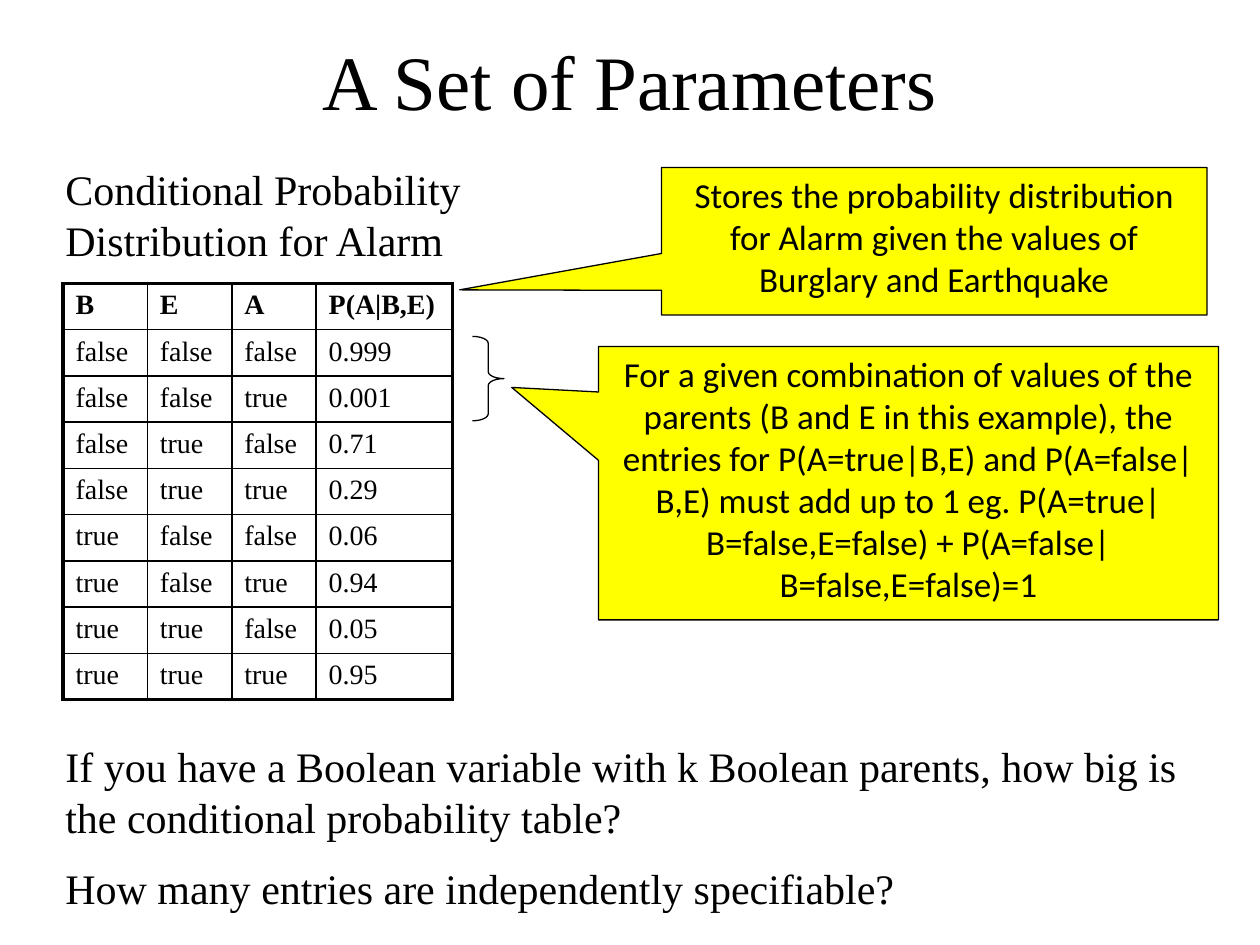
from itertools import product

from pptx import Presentation
from pptx.dml.color import RGBColor
from pptx.enum.shapes import MSO_SHAPE as Shape
from pptx.enum.text import MSO_ANCHOR as Anchor, PP_ALIGN as Align
from pptx.oxml import parse_xml
from pptx.oxml.ns import nsdecls
from pptx.util import Inches, Pt

BLACK = RGBColor(0, 0, 0)
YELLOW = RGBColor(255, 255, 0)
SERIF = "Times New Roman"


def write(frame, lines, size, font=SERIF, align=Align.LEFT, bold=False):
    frame.word_wrap = True
    for index, line in enumerate(lines):
        paragraph = frame.add_paragraph() if index else frame.paragraphs[0]
        paragraph.text = line
        paragraph.alignment = align
        if index:
            paragraph.space_before = Pt(size / 2)
        paragraph.font.name = font
        paragraph.font.size = Pt(size)
        paragraph.font.bold = bold
        paragraph.font.color.rgb = BLACK


def add_outlined(kind, box, adjustments):
    shape = slide.shapes.add_shape(kind, *map(Inches, box))
    shape.shadow.inherit = False
    shape.line.color.rgb = BLACK
    shape.line.width = Pt(0.75)
    for index, value in enumerate(adjustments):
        shape.adjustments[index] = value
    return shape


presentation = Presentation()
presentation.slide_width = Inches(10)
presentation.slide_height = Inches(7.5)
slide = presentation.slides.add_slide(presentation.slide_layouts[6])

title = slide.shapes.add_textbox(Inches(0.75), Inches(0.17), Inches(8.5), Inches(0.92))
title.text_frame.vertical_anchor = Anchor.MIDDLE
write(title.text_frame, ["A Set of Parameters"], 44, align=Align.CENTER)

probabilities = ["0.999", "0.001", "0.71", "0.29", "0.06", "0.94", "0.05", "0.95"]
rows = [("B", "E", "A", "P(A|B,E)")]
for values, probability in zip(product(["false", "true"], repeat=3), probabilities):
    rows.append((*values, probability))
widths = [0.67, 0.67, 0.67, 1.08]
last_row, last_column = len(rows) - 1, len(widths) - 1

table = slide.shapes.add_table(
    len(rows), len(widths), Inches(0.5), Inches(2.25), Inches(3.09), Inches(3.3)
).table
table.horz_banding = False
for column, width in zip(table.columns, widths):
    column.width = Inches(width)
for r, row in enumerate(rows):
    for c, value in enumerate(row):
        cell = table.cell(r, c)
        write(cell.text_frame, [value], 16, bold=r == 0)
        properties = cell._tc.get_or_add_tcPr()
        outer_edges = {"L": c == 0, "R": c == last_column, "T": r == 0, "B": r == last_row}
        for side, is_outer in outer_edges.items():
            properties.append(parse_xml(
                f'<a:ln{side} {nsdecls("a")} w="{Pt(2.25 if is_outer else 1)}">'
                f'<a:solidFill><a:srgbClr val="{BLACK}"/></a:solidFill></a:ln{side}>'
            ))
        cell.fill.background()

texts = [
    ((0.42, 1.25, 3.42, 0.9), ["Conditional Probability Distribution for Alarm"]),
    ((0.42, 5.83, 9.25, 1.5), [
        "If you have a Boolean variable with k Boolean parents, how big is "
        "the conditional probability table?",
        "How many entries are independently specifiable?",
    ]),
]
for box, lines in texts:
    write(slide.shapes.add_textbox(*map(Inches, box)).text_frame, lines, 24)

brace = add_outlined(Shape.RIGHT_BRACE, (3.75, 2.67, 0.25, 0.67), (0.22, 0.5))
brace.fill.background()

callouts = [
    ((5.25, 1.33, 4.33, 1.17), (-0.87, 0.33),
     "Stores the probability distribution for Alarm given the values of "
     "Burglary and Earthquake"),
    ((4.75, 2.75, 4.92, 2.17), (-0.64, -0.35),
     "For a given combination of values of the parents (B and E in this example), "
     "the entries for P(A=true|B,E) and P(A=false|B,E) must add up to 1 eg. "
     "P(A=true|B=false,E=false) + P(A=false|B=false,E=false)=1"),
]
for box, pointer, message in callouts:
    callout = add_outlined(Shape.RECTANGULAR_CALLOUT, box, pointer)
    callout.fill.solid()
    callout.fill.fore_color.rgb = YELLOW
    callout.text_frame.vertical_anchor = Anchor.TOP
    write(callout.text_frame, [message], 20, "Calibri", Align.CENTER)

presentation.save("out.pptx")
